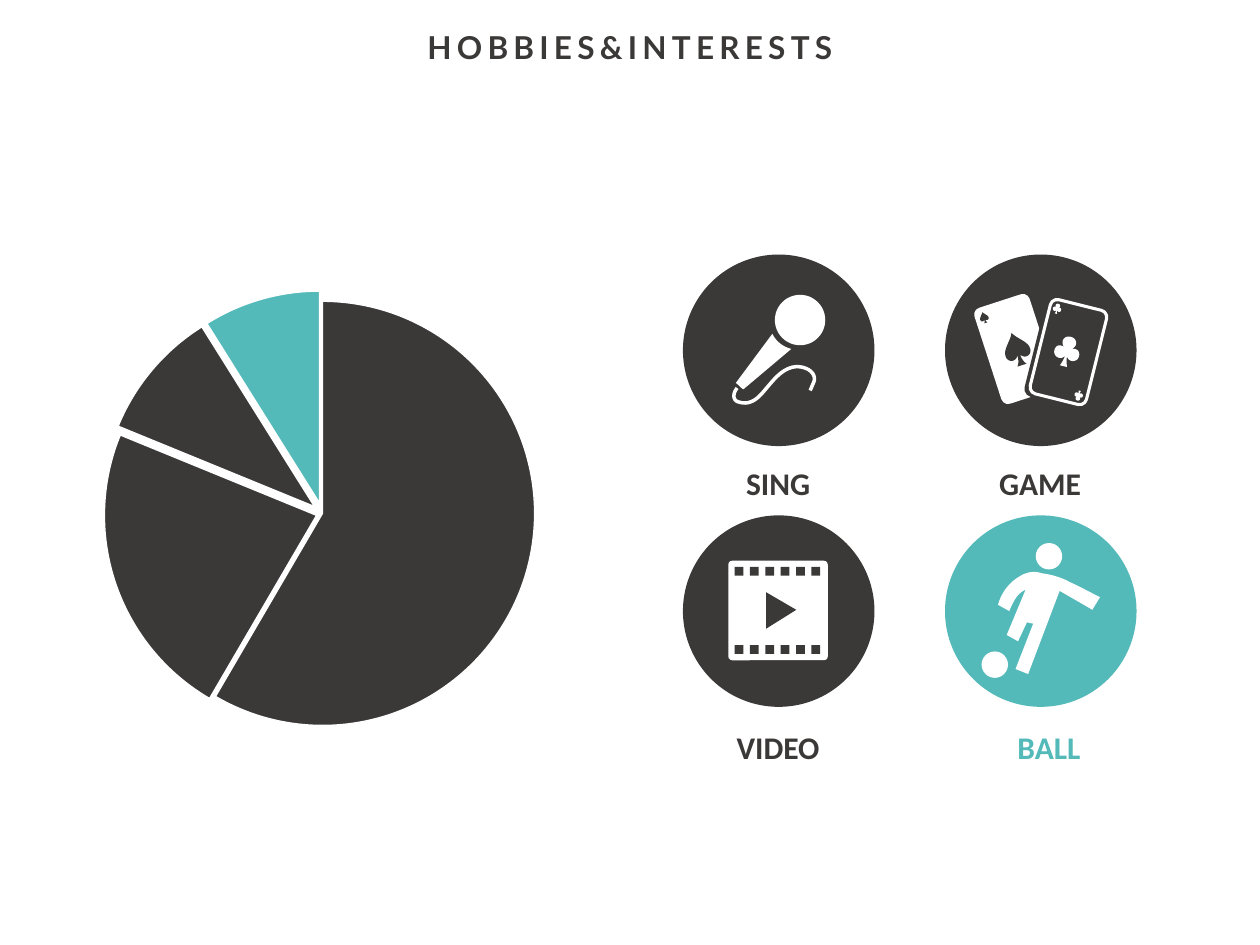
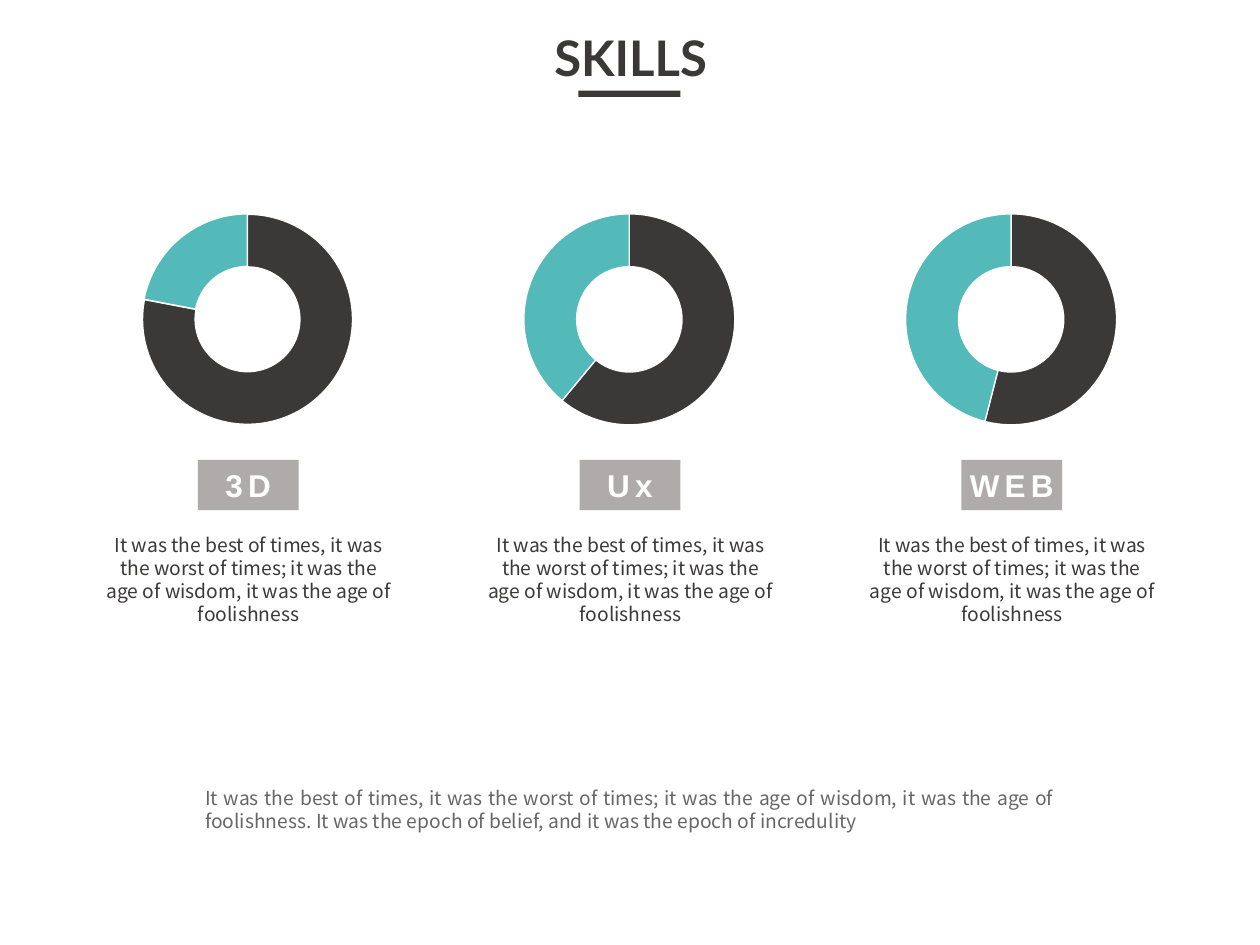
from dataclasses import dataclass
from math import cos, radians, sin

from lxml import etree
from pptx import Presentation
from pptx.chart.data import CategoryChartData
from pptx.dml.color import RGBColor
from pptx.enum import chart as charts, shapes, text
from pptx.oxml.ns import qn
from pptx.util import Inches, Pt


@dataclass(frozen=True)
class Theme:
    dark: str = "3B3838"
    teal: str = "54B9B9"
    grey: str = "AFABAB"
    muted: str = "666666"
    white: str = "FFFFFF"
    black: str = "000000"
    heading: str = "Lato"
    label: str = "Calibri"
    badge: str = "Arial"
    body: str = "Noto Sans CJK SC"
    title_size: int = 28
    label_size: int = 18
    body_size: int = 11
    chart_size: int = 10


@dataclass(frozen=True)
class Style:
    font: str
    size: int
    color: str
    bold: bool = False
    spacing: int = 0


@dataclass(frozen=True)
class Box:
    left: float
    top: float
    width: float
    height: float

    def emu(self) -> list:
        return [Inches(v) for v in (self.left, self.top, self.width, self.height)]


@dataclass(frozen=True)
class Hobby:
    name: str
    color: str
    label_shift: float


@dataclass(frozen=True)
class Skill:
    name: str
    share: int
    explosion: int


T = Theme()
ELLIPSE, RECT, ROUND = (shapes.MSO_SHAPE.OVAL, shapes.MSO_SHAPE.RECTANGLE,
                        shapes.MSO_SHAPE.ROUNDED_RECTANGLE)
CENTER, JUSTIFY = text.PP_ALIGN.CENTER, text.PP_ALIGN.JUSTIFY
TOP, MIDDLE = text.MSO_ANCHOR.TOP, text.MSO_ANCHOR.MIDDLE
BODY = Style(T.body, T.body_size, T.dark)
NOTE = Style(T.body, T.body_size, T.muted)
BADGE = Style(T.badge, T.label_size, T.white, True, 3)

HOBBIES = [Hobby("SING", T.dark, 0.18), Hobby("GAME", T.dark, 0.18),
           Hobby("VIDEO", T.dark, 0.18), Hobby("BALL", T.teal, 0.25)]
SKILLS = [Skill("3D", 22, 1), Skill("Ux", 39, 0), Skill("WEB", 46, 0)]
TIMES = ("It was the best of times, it was the worst of times; "
         "it was the age of wisdom, it was the age of foolishness")

# Outlines: pairs are corners, sextuples are Bezier curves
SPADE = [(0, -.5), (.08, -.3, .38, -.12, .38, .1), (.38, .32, .12, .36, .04, .18),
         (.05, .35, .08, .42, .14, .5), (-.14, .5), (-.08, .42, -.05, .35, -.04, .18),
         (-.12, .36, -.38, .32, -.38, .1), (-.38, -.12, -.08, -.3, 0, -.5)]
CLUB = [(.03, .15), (.05, .3, .08, .4, .12, .5), (-.12, .5),
        (-.08, .4, -.05, .3, -.03, .15), (-.12, .35, -.42, .28, -.42, .06),
        (-.42, -.12, -.28, -.18, -.14, -.12), (-.32, -.3, -.2, -.5, 0, -.5),
        (.2, -.5, .32, -.3, .14, -.12), (.28, -.18, .42, -.12, .42, .06),
        (.42, .28, .12, .35, .03, .15)]
MIC_HANDLE = [(5.9, 3.09), (5.88, 3.08, 5.87, 3.06, 5.84, 3.04), (6.13, 2.65),
              (6.16, 2.71, 6.21, 2.75, 6.28, 2.77)]
MIC_CABLE = [(5.85, 3.08), (5.81, 3.13, 5.82, 3.18, 5.86, 3.19),
             (5.92, 3.21, 5.98, 3.2, 6.05, 3.12), (6.13, 3.03, 6.2, 2.92, 6.32, 2.91),
             (6.42, 2.91, 6.48, 2.97, 6.46, 3.03), (6.43, 3.1)]
PLAY = [(6.08, 4.7), (6.32, 4.84), (6.08, 4.99)]
PLAYER = [(8.14, 4.68), (8.07, 4.71, 8.04, 4.78, 8.01, 4.85), (7.92, 4.8),
          (7.95, 4.7, 8.01, 4.62, 8.1, 4.57), (8.15, 4.54, 8.21, 4.53, 8.27, 4.55),
          (8.34, 4.56, 8.42, 4.58, 8.49, 4.62), (8.56, 4.65, 8.63, 4.69, 8.73, 4.74),
          (8.67, 4.84), (8.41, 4.69), (8.16, 5.35), (8.06, 5.31), (8.2, 4.95),
          (8.15, 4.94), (8.08, 5.09), (7.99, 5.04)]


def rgb(color: str) -> RGBColor:
    return RGBColor.from_string(color)


def write(sp, words: str, style: Style, align=CENTER, anchor=TOP, margin=0.1) -> None:
    tf = sp.text_frame
    tf.word_wrap = True
    tf.auto_size = text.MSO_AUTO_SIZE.NONE
    tf.vertical_anchor = anchor
    tf.margin_left = tf.margin_right = Inches(margin)
    tf.margin_top = tf.margin_bottom = Inches(0.05)
    p = tf.paragraphs[0]
    p.alignment = align
    r = p.add_run()
    r.text = words
    r.font.name, r.font.size, r.font.bold = style.font, Pt(style.size), style.bold
    r.font.color.rgb = rgb(style.color)
    if style.spacing:
        r._r.get_or_add_rPr().set("spc", str(style.spacing * 100))


def add_title(slide, words: str, box: Box, style: Style) -> None:
    sp = slide.shapes.title
    sp.left, sp.top, sp.width, sp.height = box.emu()
    write(sp, words, style)


def add_text(slide, words: str, box: Box, style: Style, align=CENTER, margin=0.1) -> None:
    write(slide.shapes.add_textbox(*box.emu()), words, style, align, margin=margin)


def paint(sp, fill: str, line: str = "", width: float = 0) -> None:
    sp.shadow.inherit = False
    if fill:
        sp.fill.solid()
        sp.fill.fore_color.rgb = rgb(fill)
    else:
        sp.fill.background()
    if line:
        sp.line.color.rgb = rgb(line)
        sp.line.width = Pt(width)
    else:
        sp.line.fill.background()


def add_preset(slide, kind, box: Box, fill: str, line: str = "", width: float = 0,
               tilt: float = 0, corner: float = 0):
    sp = slide.shapes.add_shape(kind, *box.emu())
    paint(sp, fill, line, width)
    sp.rotation = tilt
    if corner:
        sp.adjustments[0] = corner
    return sp


def trace(outline: list, steps: int = 10) -> list:
    points = [outline[0]]
    for part in outline[1:]:
        if len(part) == 2:
            points.append(part)
            continue
        knots = [points[-1], part[:2], part[2:4], part[4:]]
        for i in range(1, steps + 1):
            t = i / steps
            weights = ((1 - t) ** 3, 3 * t * (1 - t) ** 2, 3 * t * t * (1 - t), t ** 3)
            points.append(tuple(sum(w * k[axis] for w, k in zip(weights, knots))
                                for axis in (0, 1)))
    return points


def add_outline(slide, outline: list, fill: str, centre=(0, 0), size: float = 1,
                tilt: float = 0, line: str = "", width: float = 0) -> None:
    c, s = cos(radians(tilt)) * size, sin(radians(tilt)) * size
    points = [(Inches(centre[0] + x * c - y * s), Inches(centre[1] + x * s + y * c))
              for x, y in trace(outline)]
    builder = slide.shapes.build_freeform(*points[0], scale=1.0)
    builder.add_line_segments(points[1:], close=bool(fill))
    paint(builder.convert_to_shape(), fill, line, width)


def add_round_chart(slide, kind, box: Box, values: list, colors: dict,
                    explosions: dict) -> None:
    data = CategoryChartData()
    data.categories = ["1", "2", "3", "4"]
    data.add_series("Series 1", values)
    chart = slide.shapes.add_chart(kind, *box.emu(), data).chart
    chart.has_legend = chart.has_title = False
    chart.font.name, chart.font.size = T.label, Pt(T.chart_size)
    chart.font.color.rgb = rgb(T.black)
    plot = chart.plots[0]
    plot.vary_by_categories = True
    for index, color in colors.items():
        fmt = plot.series[0].points[index].format
        fmt.fill.solid()
        fmt.fill.fore_color.rgb = rgb(color)
        fmt.line.color.rgb = rgb(T.white)
        fmt.line.width = Pt(0.75)
    for point in plot.series[0]._element.findall(qn("c:dPt")):
        amount = explosions.get(int(point.find(qn("c:idx")).get("val")), 0)
        if amount:
            explosion = etree.Element(qn("c:explosion"), val=str(amount))
            point.find(qn("c:spPr")).addprevious(explosion)


def draw_microphone(slide) -> None:
    add_preset(slide, ELLIPSE, Box(6.15, 2.34, 0.4, 0.4), T.white)
    add_outline(slide, MIC_HANDLE, T.white)
    add_outline(slide, MIC_CABLE, "", line=T.white, width=2)


def draw_cards(slide) -> None:
    add_preset(slide, ROUND, Box(7.83, 2.37, 0.46, 0.8), T.white, tilt=-18, corner=0.12)
    add_outline(slide, SPADE, T.dark, (8.07, 2.77), 0.27, -18)
    add_outline(slide, SPADE, T.dark, (7.81, 2.52), 0.09, -18)
    # A dark rim parts the front card from the back one
    add_preset(slide, ROUND, Box(8.21, 2.38, 0.53, 0.83), T.dark, tilt=14, corner=0.12)
    add_preset(slide, ROUND, Box(8.25, 2.41, 0.46, 0.77), T.dark, T.white, 1.75, 14, 0.12)
    for centre, size, tilt in (((8.47, 2.79), 0.24, 14), ((8.39, 2.45), 0.08, 14),
                               ((8.56, 3.14), 0.08, 194)):
        add_outline(slide, CLUB, T.white, centre, size, tilt)


def draw_film(slide) -> None:
    add_preset(slide, ROUND, Box(5.78, 4.45, 0.79, 0.79), T.white, corner=0.04)
    for top in (4.5, 5.12):
        for i in range(6):
            add_preset(slide, RECT, Box(5.83 + i * 0.61 / 5, top, 0.07, 0.07), T.dark)
    add_outline(slide, PLAY, T.dark)


def draw_player(slide) -> None:
    add_outline(slide, PLAYER, T.white)
    add_preset(slide, ELLIPSE, Box(7.79, 5.17, 0.21, 0.21), T.white)
    add_preset(slide, ELLIPSE, Box(8.22, 4.31, 0.21, 0.21), T.white)


def build_hobbies(slide) -> None:
    add_title(slide, "HOBBIES&INTERESTS", Box(3.29, 0.17, 3.42, 0.4),
              Style(T.heading, T.label_size, T.dark, True, 3))
    # Two by two grid of icons with labels
    icons = (draw_microphone, draw_cards, draw_film, draw_player)
    for i, (hobby, draw_icon) in enumerate(zip(HOBBIES, icons)):
        row, col = divmod(i, 2)
        left = 5.42 + col * 2.08
        add_preset(slide, ELLIPSE, Box(left, 2.02 + row * 2.07, 1.52, 1.52), hobby.color)
        draw_icon(slide)
        add_text(slide, hobby.name,
                 Box(left + hobby.label_shift, 3.63 + row * 2.1, 1.15, 0.4),
                 Style(T.label, T.label_size, hobby.color, True))
    # Share of time per hobby
    add_round_chart(slide, charts.XL_CHART_TYPE.PIE, Box(-0.3, 2.17, 5.72, 3.81),
                    [59, 23, 10, 9], {i: h.color for i, h in enumerate(HOBBIES)},
                    {1: 3, 2: 5, 3: 5})


def build_skills(slide) -> None:
    add_title(slide, "SKILLS", Box(3.37, 0.17, 3.27, 0.57),
              Style(T.heading, T.title_size, T.dark, True))
    add_preset(slide, RECT, Box(4.59, 0.72, 0.81, 0.05), T.dark)
    # One column per skill: ring, badge, description
    for i, skill in enumerate(SKILLS):
        left = 0.5 + i * 3.03
        add_round_chart(slide, charts.XL_CHART_TYPE.DOUGHNUT, Box(left, 1.56, 2.93, 1.95),
                        [None, None, 100 - skill.share, skill.share],
                        {2: T.dark, 3: T.teal}, {3: skill.explosion})
        badge = add_preset(slide, RECT, Box(left + 1.07, 3.65, 0.8, 0.4), T.grey)
        write(badge, skill.name, BADGE, anchor=MIDDLE, margin=0)
        add_text(slide, TIMES, Box(left + 0.21, 4.18, 2.53, 0.84), BODY, margin=0.12)
    add_text(slide, TIMES + ". It was the epoch of belief, and it was the epoch of "
             "incredulity", Box(1.53, 6.19, 6.94, 0.47), NOTE, JUSTIFY)


def main() -> None:
    prs = Presentation()
    prs.slide_width, prs.slide_height = Inches(10), Inches(7.5)
    title_only = prs.slide_layouts[5]
    for build in (build_hobbies, build_skills):
        build(prs.slides.add_slide(title_only))
    prs.save("out.pptx")


if __name__ == "__main__":
    main()
